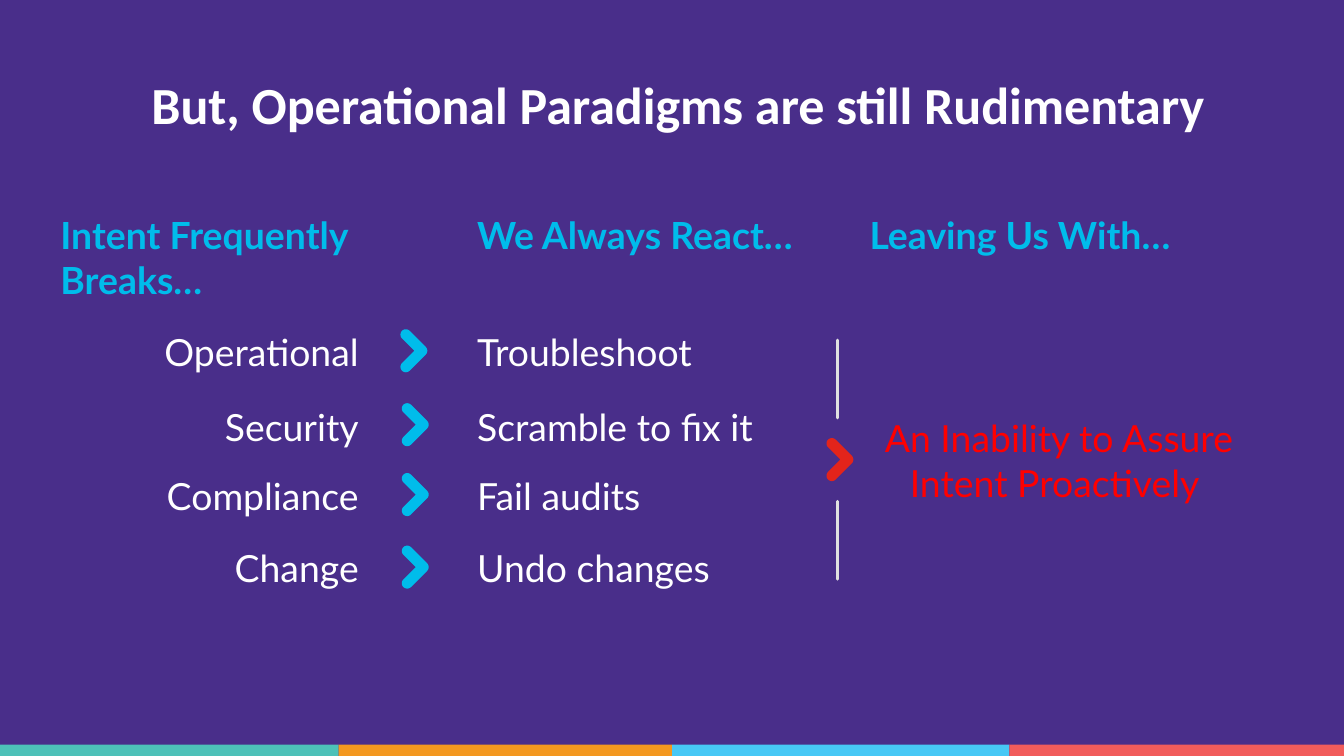
from itertools import pairwise
from math import cos, radians, sin, sqrt

from lxml.etree import SubElement
from pptx import Presentation
from pptx.dml.color import RGBColor
from pptx.enum.shapes import MSO_CONNECTOR, MSO_SHAPE
from pptx.enum.text import MSO_ANCHOR, MSO_AUTO_SIZE, PP_ALIGN
from pptx.oxml.ns import qn
from pptx.util import Inches, Pt

PURPLE = RGBColor(0x49, 0x2E, 0x8A)
WHITE = RGBColor(0xFF, 0xFF, 0xFF)
CYAN = RGBColor(0x00, 0xBC, 0xEB)
RED = RGBColor(0xFF, 0x00, 0x00)
CHEVRON_RED = RGBColor(0xE3, 0x24, 0x1B)
LINE_GRAY = RGBColor(0xE1, 0xE1, 0xE1)
STRIPE_COLORS = [
    RGBColor(0x4D, 0xC1, 0xB8),
    RGBColor(0xF3, 0x98, 0x1F),
    RGBColor(0x47, 0xC8, 0xF5),
    RGBColor(0xF1, 0x5C, 0x5B),
]
STRIPE_EDGES = [0, 2.52, 5, 7.51, 10]

HEADINGS = [
    ("Intent Frequently Breaks…", 0.45, 2.87, 0.67),
    ("We Always React…", 3.55, 2.88, 0.34),
    ("Leaving Us With…", 6.47, 2.79, 0.34),
]
ROWS = [
    ("Operational", "Troubleshoot", 2.45, 2.98, 2.45),
    ("Security", "Scramble to fix it", 3.01, 2.99, 3),
    ("Compliance", "Fail audits", 3.52, 2.99, 3.52),
    ("Change", "Undo changes", 4.06, 2.99, 4.06),
]
HEADING_FONT = {"name": "Lato", "size": Pt(20), "bold": True}
BODY_FONT = {"name": "Lato", "size": Pt(20), "bold": False}
TITLE_FONT = {"name": "Calibri", "size": Pt(27.9), "bold": True}
FRAME_FORMAT = {
    "word_wrap": True,
    "auto_size": MSO_AUTO_SIZE.SHAPE_TO_FIT_TEXT,
    "margin_left": 0,
    "margin_top": 0,
    "margin_right": 0,
    "margin_bottom": 0,
}


def set_attributes(target, values):
    for name, value in values.items():
        setattr(target, name, value)


def fill_plain(shape, color):
    shape.shadow.inherit = False
    shape.fill.solid()
    shape.fill.fore_color.rgb = color
    shape.line.fill.background()


def write_text(text_frame, text, font, color, paragraph_format):
    paragraph = text_frame.paragraphs[0]
    set_attributes(paragraph, paragraph_format)
    run = paragraph.add_run()
    run.text = text
    set_attributes(run.font, font)
    run.font.color.rgb = color


def add_title(slide, text):
    title = slide.shapes.title
    box = {"left": 0.48, "top": 0.37, "width": 9.13, "height": 0.8}
    set_attributes(title, {name: Inches(value) for name, value in box.items()})
    title.text_frame.vertical_anchor = MSO_ANCHOR.MIDDLE
    write_text(title.text_frame, text, TITLE_FONT, WHITE, {"alignment": PP_ALIGN.CENTER})


def add_text(slide, text, box, font, color, paragraph_format, anchor=MSO_ANCHOR.TOP):
    text_box = slide.shapes.add_textbox(*map(Inches, box))
    set_attributes(text_box.text_frame, {**FRAME_FORMAT, "vertical_anchor": anchor})
    write_text(text_box.text_frame, text, font, color, paragraph_format)


def add_stripes(slide):
    for (left, right), color in zip(pairwise(STRIPE_EDGES), STRIPE_COLORS):
        stripe = slide.shapes.add_shape(
            MSO_SHAPE.RECTANGLE, Inches(left), Inches(5.54), Inches(right - left), Inches(0.1)
        )
        fill_plain(stripe, color)


def add_chevron(shapes, left, top, color):
    radius = 0.04
    caps = [(0.04, 0.04, 135, 315), (0.16, 0.16, -45, 45), (0.04, 0.28, 45, 225)]
    points = [
        (x + radius * cos(radians(angle)), y + radius * sin(radians(angle)))
        for x, y, start, end in caps
        for angle in range(start, end + 1, 15)
    ]
    points.append((0.16 - radius * sqrt(2), 0.16))
    corners = [(Inches(left + x), Inches(top + y)) for x, y in points]
    builder = shapes.build_freeform(*corners[0])
    builder.add_line_segments(corners[1:], close=True)
    fill_plain(builder.convert_to_shape(), color)


def add_line(shapes, x, top, bottom):
    line = shapes.add_connector(
        MSO_CONNECTOR.STRAIGHT, Inches(x), Inches(top), Inches(x), Inches(bottom)
    )
    line.line.color.rgb = LINE_GRAY
    line.line.width = Pt(1.5)
    line._element.spPr.find(qn("a:ln")).set("cap", "rnd")
    SubElement(line._element.spPr, qn("a:effectLst"))


def add_divider(slide):
    group = slide.shapes.add_group_shape()
    add_chevron(group.shapes, 6.15, 3.26, CHEVRON_RED)
    for top in (2.53, 3.73):
        add_line(group.shapes, 6.23, top, top + 0.58)


def main():
    presentation = Presentation()
    presentation.slide_width = Inches(10)
    presentation.slide_height = Inches(10) * 9 // 16
    slide = presentation.slides.add_slide(presentation.slide_layouts[5])
    slide.background.fill.solid()
    slide.background.fill.fore_color.rgb = PURPLE

    add_stripes(slide)
    add_title(slide, "But, Operational Paradigms are still Rudimentary")
    for text, left, width, height in HEADINGS:
        add_text(slide, text, (left, 1.58, width, height), HEADING_FONT, CYAN, {})

    left_format = {"alignment": PP_ALIGN.LEFT, "space_before": Pt(14)}
    right_format = {**left_format, "alignment": PP_ALIGN.RIGHT}
    center_format = {**left_format, "alignment": PP_ALIGN.CENTER}
    for cause, reaction, top, chevron_left, chevron_top in ROWS:
        add_text(slide, cause, (1.1, top, 1.57, 0.34), BODY_FONT, WHITE, right_format)
        add_chevron(slide.shapes, chevron_left, chevron_top, CYAN)
        add_text(slide, reaction, (3.55, top, 3.09, 0.34), BODY_FONT, WHITE, left_format)

    add_divider(slide)
    add_text(
        slide, "An Inability to Assure Intent Proactively ", (6.5, 3.09, 2.76, 0.67),
        BODY_FONT, RED, center_format, MSO_ANCHOR.MIDDLE,
    )
    presentation.save("out.pptx")


if __name__ == "__main__":
    main()
